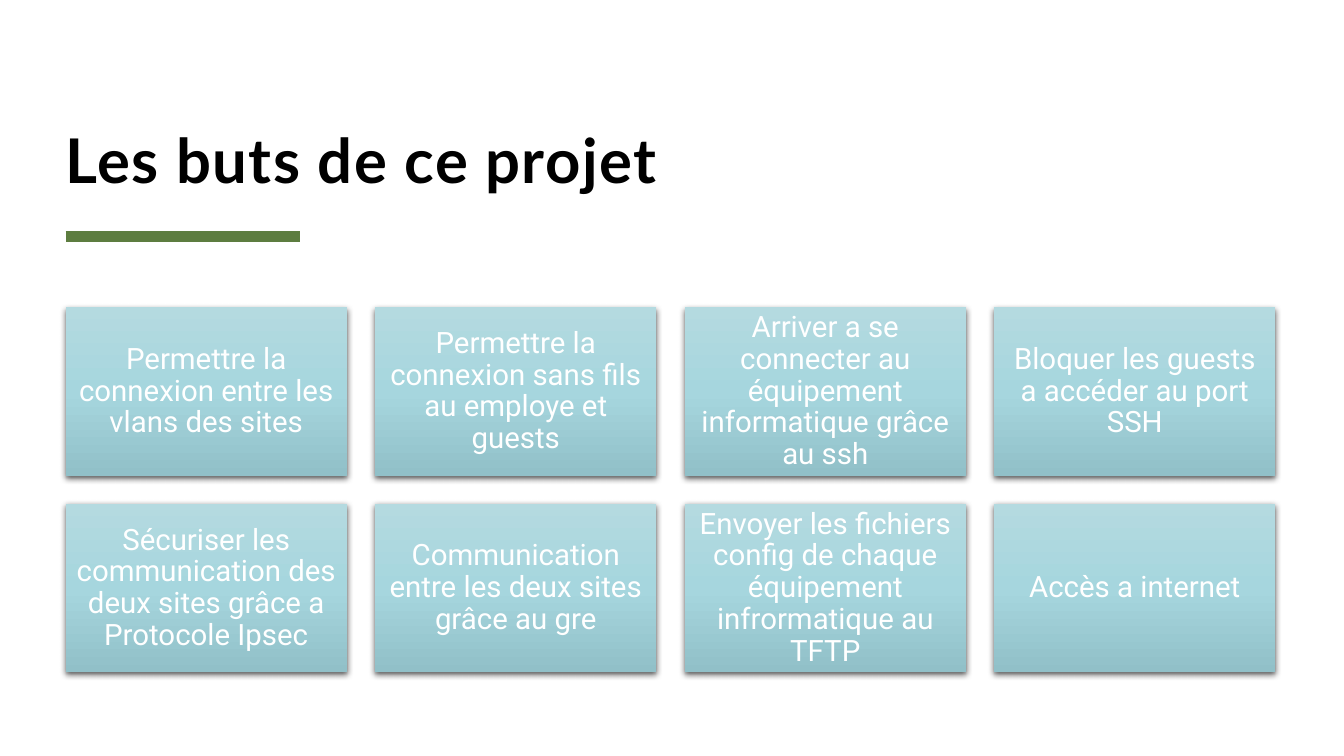
from copy import deepcopy
from dataclasses import dataclass

from lxml import etree
from pptx import Presentation
from pptx import util as u
from pptx.dml.color import RGBColor
from pptx.enum import shapes, text
from pptx.oxml.ns import qn


@dataclass(frozen=True)
class Theme:
    """Colours, fonts and type sizes of the deck."""
    ink: str = "000000"
    pale: str = "FFFFFF"
    rule: str = "5D7D40"
    shade: str = "000000"
    blend: tuple = ((0, "B4DAE0"), (0.5, "A6D6DE"), (1, "91C0C8"))
    head: str = "Lato"
    body: str = "Roboto"
    big: int = 44
    small: int = 21


class Page:
    """Draws styled elements on one slide."""

    def __init__(self, slide, theme):
        """Keep the slide and the theme."""
        self.slide = slide
        self.theme = theme

    def label(self, frame, words, face, size, tone, pitch, align, pad):
        """Fill a text frame with one styled paragraph."""
        frame.text = words
        frame.word_wrap = True
        frame.auto_size = text.MSO_AUTO_SIZE.NONE
        frame.margin_left = frame.margin_right = u.Inches(pad)
        frame.margin_top = frame.margin_bottom = u.Inches(pad)
        para = frame.paragraphs[0]
        para.alignment = align
        para.line_spacing = pitch
        font = para.runs[0].font
        font.name = face
        font.size = u.Pt(size)
        font.color.rgb = RGBColor.from_string(tone)
        return font

    def title(self, words, left, top, width, height):
        """Place the slide title."""
        look = self.theme
        box = self.slide.shapes.title
        box.left, box.top = u.Inches(left), u.Inches(top)
        box.width, box.height = u.Inches(width), u.Inches(height)
        font = self.label(box.text_frame, words, look.head, look.big,
                          look.ink, 0.8, text.PP_ALIGN.LEFT, 0)
        font.bold = True
        box.text_frame.paragraphs[0].runs[0]._r.get_or_add_rPr().set("spc", "100")
        box.text_frame.vertical_anchor = text.MSO_ANCHOR.BOTTOM

    def rule(self, left, top, width):
        """Draw the thick accent line."""
        line = self.slide.shapes.add_connector(
            shapes.MSO_CONNECTOR.STRAIGHT, u.Inches(left), u.Inches(top),
            u.Inches(left + width), u.Inches(top))
        line.line.color.rgb = RGBColor.from_string(self.theme.rule)
        line.line.width = u.Pt(8)
        etree.SubElement(line._element.spPr, qn("a:effectLst"))

    def blend(self, fill):
        """Apply the three-stop vertical gradient."""
        fill.gradient()
        fill.gradient_angle = 270
        first = fill.gradient_stops[0]._gs
        first.addnext(deepcopy(first))
        for stop, (place, tone) in zip(fill.gradient_stops, self.theme.blend):
            stop.position = place
            stop.color.rgb = RGBColor.from_string(tone)

    def shade(self, shape):
        """Give a shape a soft shadow below."""
        shape.shadow.inherit = False
        group = shape._element.spPr.find(qn("a:effectLst"))
        drop = etree.SubElement(
            group, qn("a:outerShdw"), blurRad=str(u.Pt(4.5)),
            dist=str(u.Pt(1.5)), dir="5400000", algn="ctr", rotWithShape="0")
        tone = etree.SubElement(drop, qn("a:srgbClr"), val=self.theme.shade)
        etree.SubElement(tone, qn("a:alpha"), val="63000")

    def card(self, words, left, top, width, height):
        """Draw one goal card."""
        look = self.theme
        card = self.slide.shapes.add_shape(
            shapes.MSO_SHAPE.RECTANGLE, u.Inches(left), u.Inches(top),
            u.Inches(width), u.Inches(height))
        self.blend(card.fill)
        card.line.fill.background()
        self.shade(card)
        self.label(card.text_frame, words, look.body, look.small,
                   look.pale, 0.9, text.PP_ALIGN.CENTER, 0.09)
        card.text_frame.vertical_anchor = text.MSO_ANCHOR.MIDDLE

    def grid(self, items, cols, left, top, width, height, gap):
        """Lay cards out in rows with equal gaps."""
        for spot, words in enumerate(items):
            row, col = divmod(spot, cols)
            self.card(words, left + col * (width + gap),
                      top + row * (height + gap), width, height)


GOALS = (
    "Permettre la connexion entre les vlans des sites",
    "Permettre la connexion sans fils au employe et guests",
    "Arriver a se connecter au équipement informatique grâce au ssh",
    "Bloquer les guests a accéder au port SSH",
    "Sécuriser les communication des deux sites grâce a Protocole Ipsec",
    "Communication entre les deux sites grâce au gre",
    "Envoyer les fichiers config de chaque équipement infrormatique au TFTP",
    "Accès a internet",
)


def main():
    """Build and save the deck."""
    deck = Presentation()
    deck.slide_width, deck.slide_height = u.Inches(13.33), u.Inches(7.5)
    page = Page(deck.slides.add_slide(deck.slide_layouts[5]), Theme())
    page.rule(0.65, 2.35, 2.33)
    page.title("Les buts de ce projet", 0.65, 0.22, 12, 1.72)
    page.grid(GOALS, 4, 0.65, 3.05, 2.79, 1.67, 0.28)
    deck.save("out.pptx")


if __name__ == "__main__":
    main()
